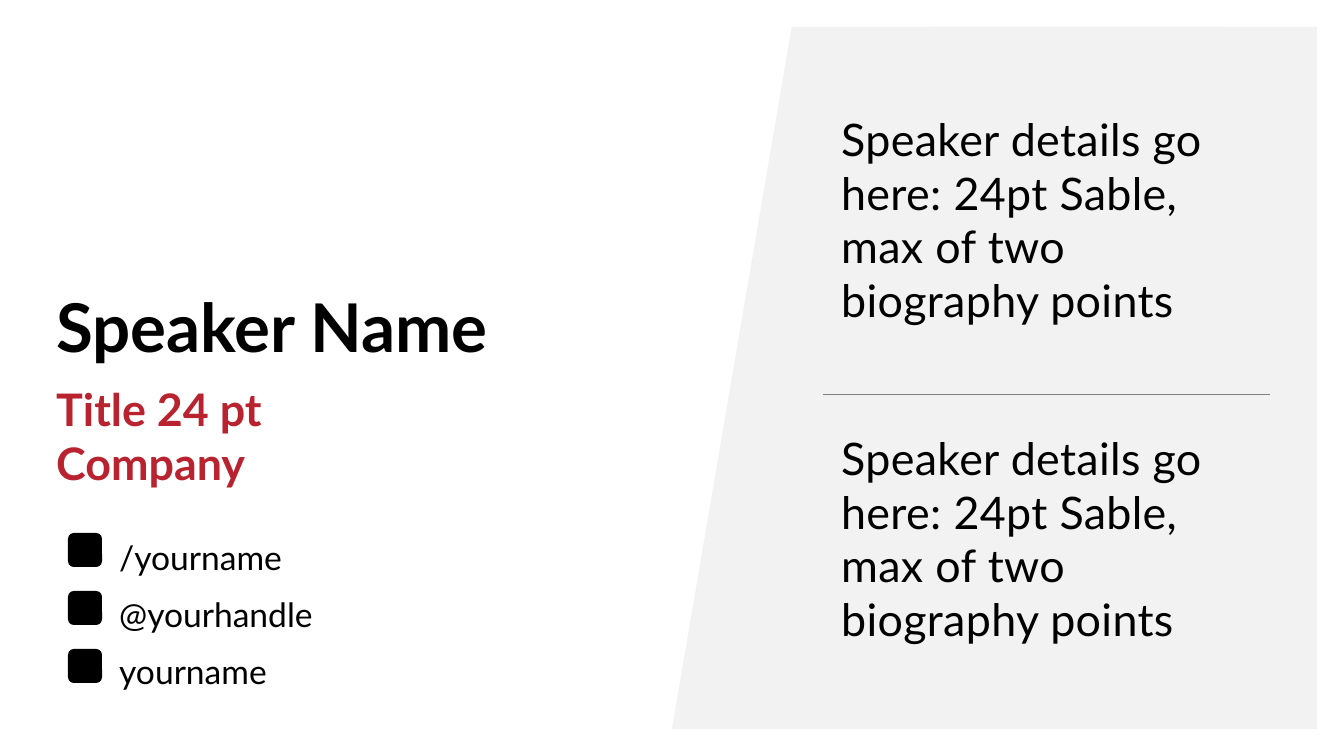
from pptx import Presentation
from pptx.dml.color import RGBColor
from pptx.enum.shapes import MSO_CONNECTOR, MSO_SHAPE
from pptx.enum.text import MSO_ANCHOR
from pptx.oxml.ns import qn
from pptx.util import Pt
from lxml import etree

PARALLELOGRAM = MSO_SHAPE.PARALLELOGRAM
RECTANGLE = MSO_SHAPE.RECTANGLE
ROUNDED_RECTANGLE = MSO_SHAPE.ROUNDED_RECTANGLE
STRAIGHT = MSO_CONNECTOR.STRAIGHT
TOP = MSO_ANCHOR.TOP
MIDDLE = MSO_ANCHOR.MIDDLE

SCALE = 914400 / 134.4
FONT = "Lato"
COLORS = {
    "panel": "F2F2F2",
    "black": "000000",
    "red": "B8232F",
    "divider": "808080",
}


def px(*lengths):
    return [round(length * SCALE) for length in lengths]


def add_text(text, *, box, size, color="black", bold=False, anchor=TOP,
             line_spacing=None, space_after=0, letter_spacing=0):
    shape = slide.shapes.add_textbox(*px(*box))
    frame = shape.text_frame
    frame.word_wrap = True
    frame.vertical_anchor = anchor
    frame.text = text
    for paragraph in frame.paragraphs:
        paragraph.space_after = Pt(space_after)
        if line_spacing:
            paragraph.line_spacing = Pt(line_spacing)
        for run in paragraph.runs:
            run.font.name = FONT
            run.font.size = Pt(size)
            run.font.bold = bold
            run.font.color.rgb = RGBColor.from_string(COLORS[color])
            if letter_spacing:
                run.font._element.set("spc", str(letter_spacing))


presentation = Presentation()
presentation.slide_width, presentation.slide_height = px(1344, 756)
slide = presentation.slides.add_slide(presentation.slide_layouts[6])

blocks = [
    (PARALLELOGRAM, (672, 27, 552, 702), "panel", 0.217),
    (RECTANGLE, (929, 27, 388, 702), "panel", None),
]
for row in range(3):
    blocks.append((ROUNDED_RECTANGLE, (68, 533 + 58 * row, 34, 34), "black", 0.17))

for kind, box, color, adjustment in blocks:
    shape = slide.shapes.add_shape(kind, *px(*box))
    shape.shadow.inherit = False
    shape.fill.solid()
    shape.fill.fore_color.rgb = RGBColor.from_string(COLORS[color])
    shape.line.fill.background()
    if adjustment:
        shape.adjustments[0] = adjustment

add_text("Speaker Name", box=(43, 294, 601, 66), size=36, bold=True, line_spacing=35)
add_text("Title 24 pt\vCompany", box=(43, 375, 600, 114), size=24, color="red", bold=True)
add_text("/yourname\n@yourhandle\nyourname", box=(106, 530, 536, 157), size=18, space_after=9)

for top in (86, 405):
    add_text("Speaker details go here: 24pt Sable, max of two biography points",
             box=(828, top, 441, 266), size=24, anchor=MIDDLE, letter_spacing=20)

divider = slide.shapes.add_connector(STRAIGHT, *px(1270, 394, 823, 394))
divider.line.color.rgb = RGBColor.from_string(COLORS["divider"])
divider.line.width = Pt(0.5)
etree.SubElement(divider._element.spPr, qn("a:effectLst"))

presentation.save("out.pptx")
